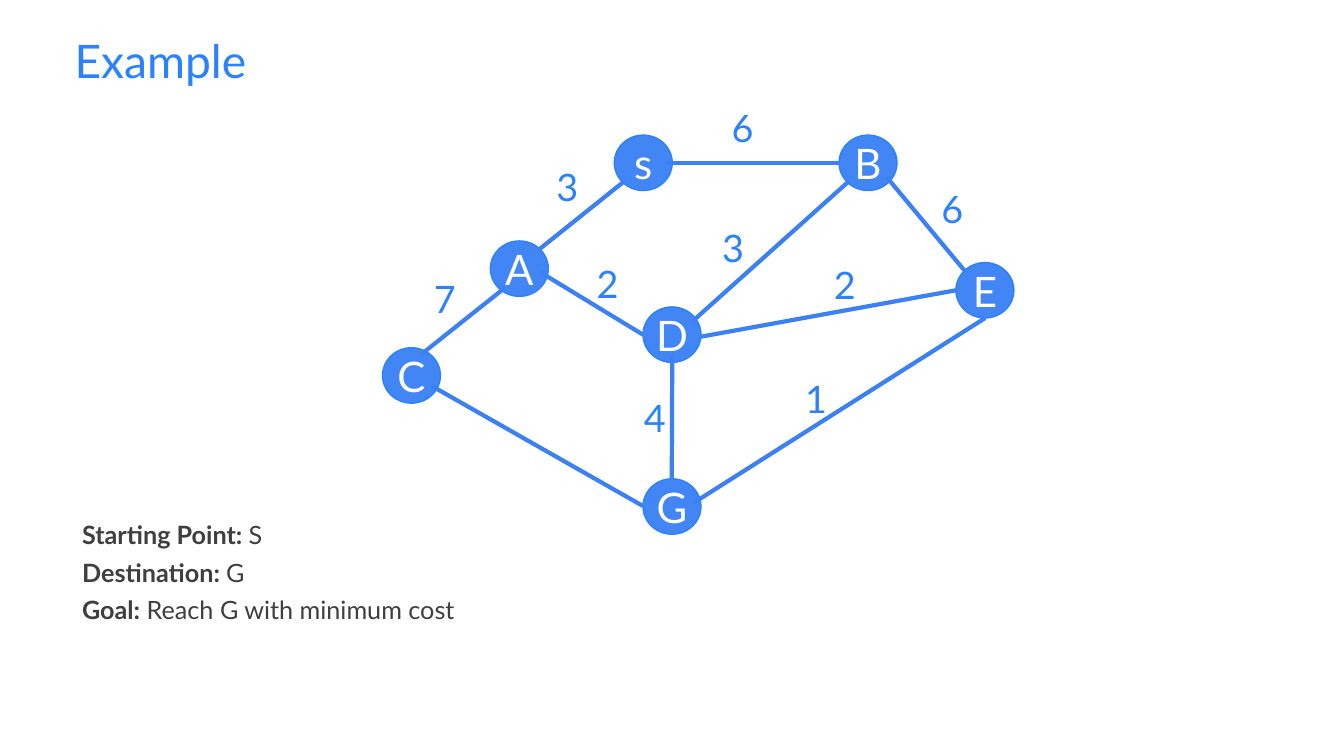
import pptx
import pptx.util
import pptx.dml.color
import pptx.enum.shapes
import pptx.enum.text
import pptx.oxml.xmlchemy

Pt = pptx.util.Pt
Align = pptx.enum.text.PP_ALIGN

TITLE = "Example"
NOTES = [
    ("Starting Point: ", "S"),
    ("Destination: ", "G"),
    ("Goal:", " Reach G with minimum cost"),
]
NODES = [
    ("s", 877.7, 193),
    ("B", 1198.8, 193),
    ("A", 700.6, 344.2),
    ("C", 546.5, 496.8),
    ("D", 918.7, 438.5),
    ("E", 1365.8, 375.1),
    ("G", 918.7, 684),
]
EDGES = [
    (889.9, 260.6, 771.1, 355.7),
    (721.4, 411.1, 601.9, 506.2),
    (771.8, 388.8, 918.7, 478.1),
    (1211, 260.6, 990.7, 457.9),
    (1198.8, 232.6, 949.7, 232.6),
    (1378.1, 386.6, 1267.2, 253.4),
    (1365.8, 414.7, 1001.5, 481),
    (1407.6, 454.3, 990.7, 718.6),
    (918.7, 722.9, 617, 551.5),
    (960.5, 510.5, 959.8, 684),
]
COSTS = [
    ("7", 612.7, 391),
    ("3", 787.7, 229.7),
    ("6", 1038.2, 145.4),
    ("6", 1337.8, 261.4),
    ("3", 1024.6, 317.5),
    ("2", 845.3, 368.6),
    ("4", 913, 560.9),
    ("2", 1184.4, 370.1),
    ("1", 1143.4, 532.8),
]
NODE_W, NODE_H = 82.8, 79.2
COST_W, COST_H = 41, 72.7

BLUE, FILL, EDGE, GREY, WHITE = "2B82FB", "4285F4", "3C81F3", "3F3F3F", "FFFFFF"
HEAD = {"size": Pt(66), "name": "Lato"}
BODY = {"size": Pt(36), "name": "Lato"}
NODE = {"size": Pt(60), "name": "Lato"}
COST = {"size": Pt(54), "name": "Lato"}
WIDE = {"margin_left": Pt(7.2), "margin_right": Pt(7.2),
        "margin_top": Pt(7.2), "margin_bottom": Pt(7.2), "word_wrap": True}
LABEL = {"word_wrap": True,
         "auto_size": pptx.enum.text.MSO_AUTO_SIZE.SHAPE_TO_FIT_TEXT}
DISC = {"word_wrap": False,
        "vertical_anchor": pptx.enum.text.MSO_ANCHOR.MIDDLE}


def rgb(code):
    return pptx.dml.color.RGBColor.from_string(code)


def apply(item, style):
    for key, value in style.items():
        setattr(item, key, value)


def write(para, text, style, color, bold=False):
    run = para.add_run()
    run.text = text
    apply(run.font, style)
    run.font.bold = bold
    run.font.color.rgb = rgb(color)


def add_box(slide, area, frame):
    box = slide.shapes.add_textbox(*map(Pt, area))
    apply(box.text_frame, frame)
    return box.text_frame


def add_node(slide, name, left, top):
    oval = pptx.enum.shapes.MSO_SHAPE.OVAL
    disc = slide.shapes.add_shape(oval, *map(Pt, (left, top, NODE_W, NODE_H)))
    disc.shadow.inherit = False
    disc.fill.solid()
    disc.fill.fore_color.rgb = rgb(FILL)
    disc.line.color.rgb = rgb(BLUE)
    disc.line.width = Pt(2)
    apply(disc.text_frame, DISC)
    para = disc.text_frame.paragraphs[0]
    para.alignment = Align.CENTER
    write(para, name, NODE, WHITE)


def add_edge(slide, ends):
    kind = pptx.enum.shapes.MSO_CONNECTOR.STRAIGHT
    line = slide.shapes.add_connector(kind, *map(Pt, ends))
    line.line.color.rgb = rgb(EDGE)
    line.line.width = Pt(6)
    props = line._element.spPr
    props.append(pptx.oxml.xmlchemy.OxmlElement("a:effectLst"))


def main():
    deck = pptx.Presentation()
    deck.slide_width, deck.slide_height = Pt(1920.24), Pt(1080)
    slide = deck.slides.add_slide(deck.slide_layouts[6])

    head = add_box(slide, (99.4, 39.6, 1721.5, 143.3), WIDE)
    write(head.paragraphs[0], TITLE, HEAD, BLUE)

    body = add_box(slide, (110.2, 723.6, 1638.7, 185), WIDE)
    for index, (term, text) in enumerate(NOTES):
        para = body.add_paragraph() if index else body.paragraphs[0]
        apply(para, {"alignment": Align.JUSTIFY, "line_spacing": 1.25})
        write(para, term, BODY, GREY, True)
        write(para, text, BODY, GREY)

    for node in NODES:
        add_node(slide, *node)
    for ends in EDGES:
        add_edge(slide, ends)
    for text, left, top in COSTS:
        cost = add_box(slide, (left, top, COST_W, COST_H), LABEL)
        write(cost.paragraphs[0], text, COST, BLUE)

    deck.save("out.pptx")


if __name__ == "__main__":
    main()
